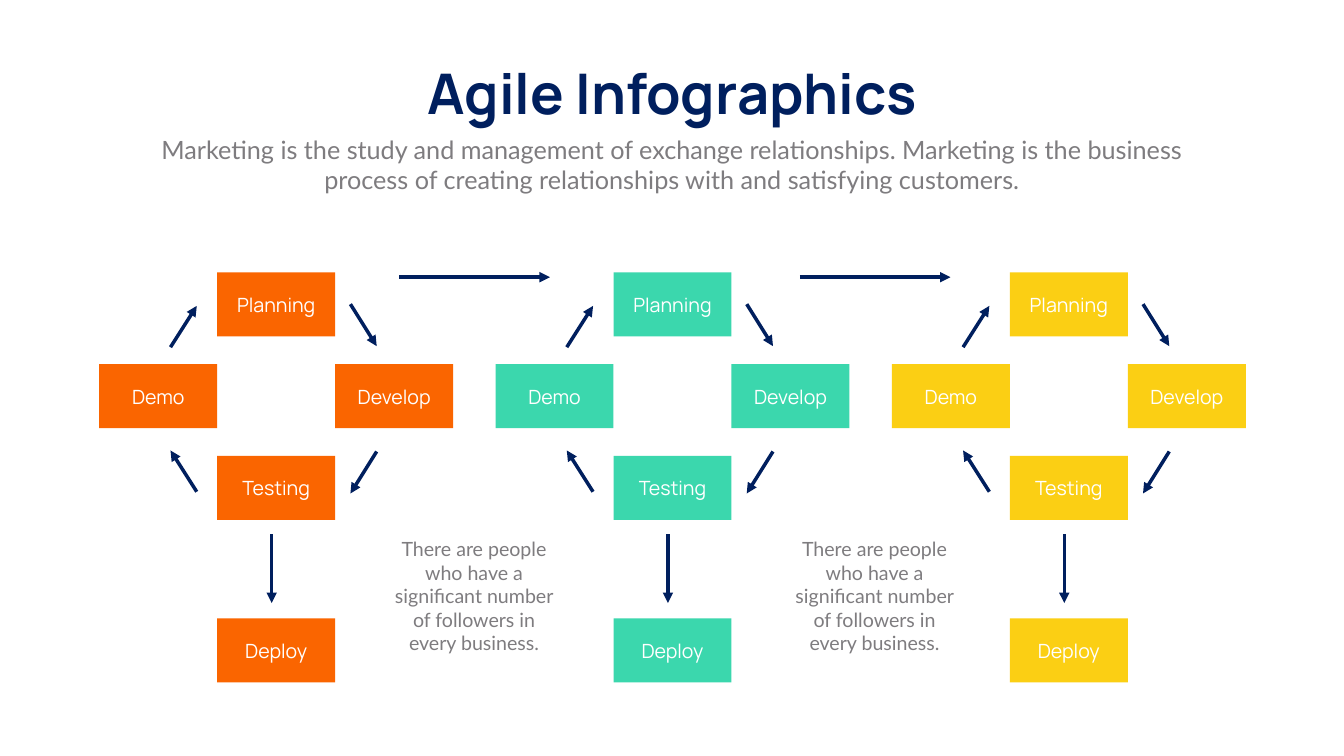
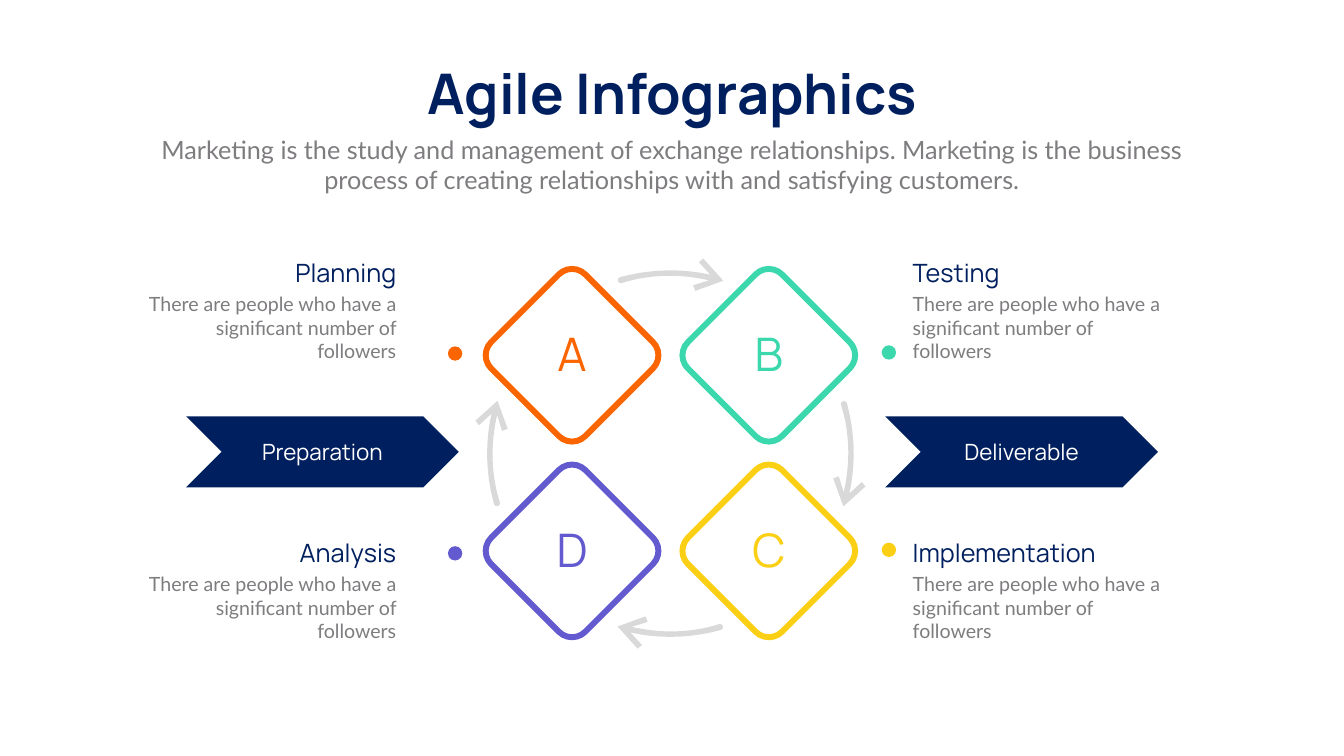
from pptx import Presentation
from pptx.dml.color import RGBColor
from pptx.enum.shapes import MSO_CONNECTOR, MSO_SHAPE
from pptx.enum.text import MSO_ANCHOR, MSO_AUTO_SIZE, PP_ALIGN
from pptx.oxml.ns import qn
from pptx.util import Pt
from lxml.etree import SubElement

# Style
NAVY = RGBColor(0x00, 0x1F, 0x5E)
GREY = RGBColor(0x7E, 0x7C, 0x7F)
PALE = RGBColor(0xD9, 0xD9, 0xD9)
WHITE = RGBColor(0xFF, 0xFF, 0xFF)
ORANGE = RGBColor(0xFA, 0x65, 0x00)
GREEN = RGBColor(0x3B, 0xD7, 0xAD)
YELLOW = RGBColor(0xFB, 0xCF, 0x14)
VIOLET = RGBColor(0x62, 0x5A, 0xCE)
HEAD, BODY = "Manrope", "Lato"
LEFT, MID, RIGHT = PP_ALIGN.LEFT, PP_ALIGN.CENTER, PP_ALIGN.RIGHT

TITLE = "Agile Infographics"
INTRO = ("Marketing is the study and management of exchange relationships. "
         "Marketing is the business process of creating relationships with "
         "and satisfying customers.")
BRIEF = "There are people who have a significant number of followers"


def curve(start, ctrl1, ctrl2, end, steps=16):
    """Points on a cubic curve, both ends included."""
    points = []
    for i in range(steps + 1):
        t = i / steps
        u = 1 - t
        points.append(tuple(
            u**3 * a + 3 * u * u * t * b + 3 * u * t * t * c + t**3 * d
            for a, b, c, d in zip(start, ctrl1, ctrl2, end)))
    return points


class Deck:
    def __init__(self):
        self.prs = Presentation()
        self.prs.slide_width, self.prs.slide_height = Pt(1919.5), Pt(1080)
        self.slide = None

    def page(self):
        """Start a slide with the shared title and intro."""
        self.slide = self.prs.slides.add_slide(self.prs.slide_layouts[5])
        title = self.slide.shapes.title
        title.left, title.top = Pt(574), Pt(80.5)
        title.width, title.height = Pt(772.5), Pt(104.5)
        self.label(title, TITLE, 80, NAVY, bold=True, wrap=False)
        self.text(210, 188, 1499, 94.5, INTRO, 36, GREY, BODY)

    def label(self, shape, words, size, color, font=HEAD, align=MID,
              bold=False, wrap=True, anchor=MSO_ANCHOR.TOP, gap=0):
        frame = shape.text_frame
        frame.text = words
        frame.word_wrap = wrap
        frame.auto_size = MSO_AUTO_SIZE.NONE
        frame.vertical_anchor = anchor
        para = frame.paragraphs[0]
        para.alignment = align
        run = para.runs[0]
        run.font.name, run.font.size, run.font.bold = font, Pt(size), bold
        run.font.color.rgb = color
        if gap:
            run.font._element.set("spc", str(gap * 100))

    def text(self, x, y, w, h, words, size, color, font=HEAD, **style):
        box = self.slide.shapes.add_textbox(Pt(x), Pt(y), Pt(w), Pt(h))
        self.label(box, words, size, color, font, **style)

    def fill(self, shape, color):
        shape.shadow.inherit = False
        shape.fill.solid()
        shape.fill.fore_color.rgb = color
        shape.line.fill.background()

    def block(self, kind, x, y, w, h, color, words="", size=28):
        """Filled preset shape centred on x, y."""
        shape = self.slide.shapes.add_shape(
            kind, Pt(x - w / 2), Pt(y - h / 2), Pt(w), Pt(h))
        self.fill(shape, color)
        if words:
            self.label(shape, words, size, WHITE, anchor=MSO_ANCHOR.MIDDLE)

    def gem(self, x, y, letter, color):
        """Rounded outlined diamond with a letter."""
        side = 190
        shape = self.slide.shapes.add_shape(
            MSO_SHAPE.ROUNDED_RECTANGLE, Pt(x - side / 2), Pt(y - side / 2),
            Pt(side), Pt(side))
        shape.adjustments[0] = 0.14
        shape.rotation = 45
        shape.shadow.inherit = False
        shape.fill.background()
        shape.line.color.rgb, shape.line.width = color, Pt(8.5)
        self.text(x - 49, y - 46.5, 98, 87, letter, 66, color, gap=6)

    def arrow(self, x1, y1, x2, y2):
        line = self.slide.shapes.add_connector(
            MSO_CONNECTOR.STRAIGHT, Pt(x1), Pt(y1), Pt(x2), Pt(y2))
        line.line.color.rgb, line.line.width = NAVY, Pt(5)
        props = line._element.spPr
        SubElement(props.find(qn("a:ln")), qn("a:tailEnd"), type="triangle")
        SubElement(props, qn("a:effectLst"))

    def outline(self, points, color):
        start, *rest = [(Pt(x), Pt(y)) for x, y in points]
        form = self.slide.shapes.build_freeform(*start)
        form.add_line_segments(rest, close=True)
        self.fill(form.convert_to_shape(), color)


def cycles(deck):
    deck.page()
    box_w, box_h = 168.5, 91.5
    steps = [("Planning", 0, -131), ("Develop", box_w, 0),
             ("Testing", 0, 131), ("Demo", -box_w, 0), ("Deploy", 0, 363)]
    links = [(106, -131.5, 143.5, -71.5), (-151, -70, -113.5, -129),
             (-113.5, 136.5, -151, 77.5), (143.5, 79, 106, 139),
             (-6.5, 197, -6.5, 295.5)]

    # Three cycles around their centres
    mid_y = 566
    for i, color in enumerate((ORANGE, GREEN, YELLOW)):
        mid_x = 394.5 + 566 * i
        for name, dx, dy in steps:
            deck.block(MSO_SHAPE.RECTANGLE, mid_x + dx, mid_y + dy,
                       box_w, box_h, color, name)
        for x1, y1, x2, y2 in links:
            deck.arrow(mid_x + x1, mid_y + y1, mid_x + x2, mid_y + y2)

    # Arrows and notes between the cycles
    for i in range(2):
        shift = 572 * i
        deck.arrow(570.5 + shift, 396, 785.5 + shift, 396)
        deck.text(548 + shift, 764, 258, 177, BRIEF + " in every business.",
                  28, GREY, BODY)


def phases(deck):
    deck.page()

    # Dots
    for x, y, color in ((650, 505, ORANGE), (650, 790.5, VIOLET),
                        (1269.5, 503.5, GREEN), (1269.5, 785.5, YELLOW)):
        deck.block(MSO_SHAPE.OVAL, x, y, 20.5, 20.5, color)

    # Curved arrow, turned by quarters around the ring centre
    ring = [(-73, -244), (-75, -247), (-74.5, -250)]
    ring += curve((-72, -252), (-29.5, -263.5), (14.5, -265), (57, -255.5))
    ring += [(40.5, -273.5), (47, -278.5), (75.5, -247),
             (35.5, -232.5), (32.5, -240.5)]
    ring += curve((55.5, -247.5), (13.5, -257), (-29.5, -256.5), (-70, -243.5))
    for _ in range(4):
        deck.outline([(957.5 + x, 648 + y) for x, y in ring], PALE)
        ring = [(-y, x) for x, y in ring]

    # Diamonds
    gems = [("A", ORANGE), ("B", GREEN), ("D", VIOLET), ("C", YELLOW)]
    for i, (letter, color) in enumerate(gems):
        row, col = divmod(i, 2)
        deck.gem(817 + 281 * col, 507.5 + 279.5 * row, letter, color)

    # Captions
    heads = [("Planning", "Testing"), ("Analysis", "Implementation")]
    for row, pair in enumerate(heads):
        top = 364.5 + 400 * row
        for name, x, align in zip(pair, (188, 1296.5), (RIGHT, LEFT)):
            deck.text(x, top, 385, 51, name, 36, NAVY, align=align)
            deck.text(x, top + 49, 385, 75, BRIEF, 28, GREY, BODY, align=align)

    # Banners
    for x, name in ((460.5, "Preparation"), (1459, "Deliverable")):
        deck.block(MSO_SHAPE.CHEVRON, x, 645.5, 389.5, 101.5, NAVY, name, 32)


def main():
    deck = Deck()
    cycles(deck)
    phases(deck)
    deck.prs.save("out.pptx")


if __name__ == "__main__":
    main()
